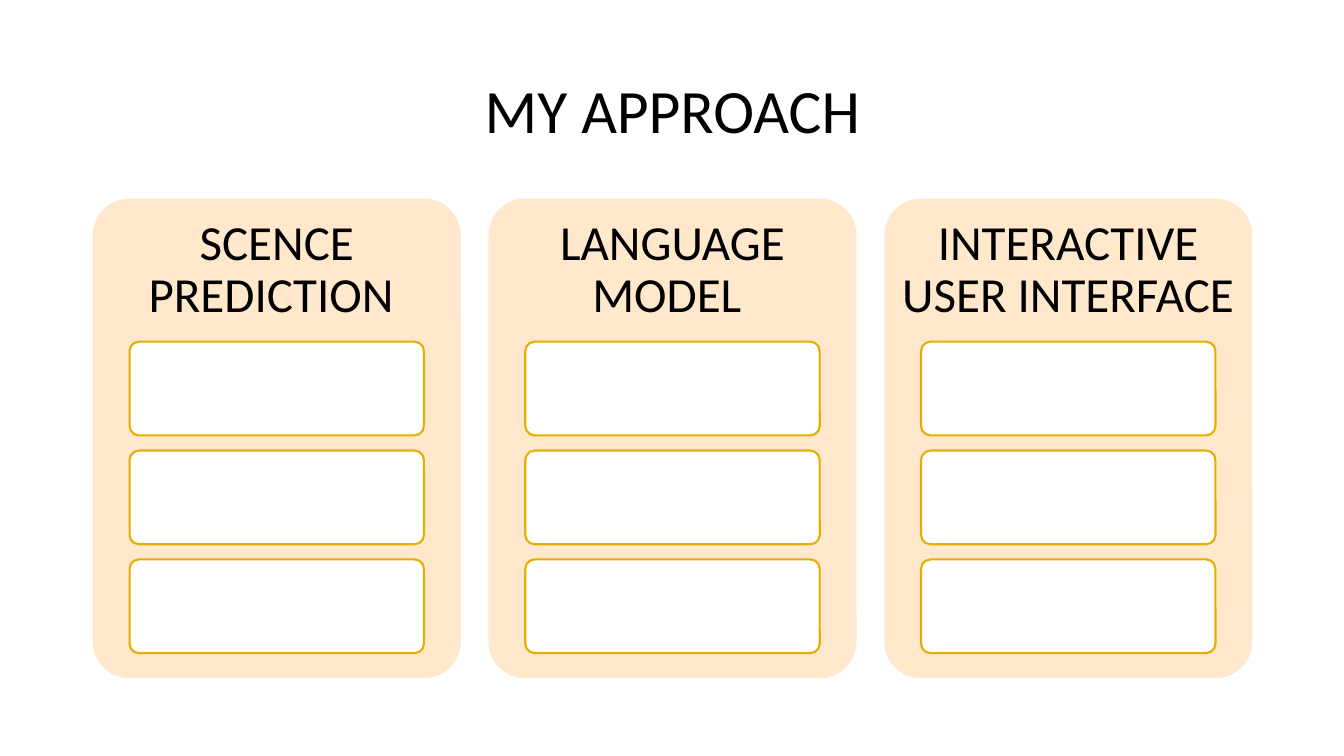
import pptx
import pptx.util
import pptx.dml.color
import pptx.enum.shapes
import pptx.enum.text
from pptx.util import Inches

COLUMN_HEADINGS = [
    "SCENCE PREDICTION ",
    "LANGUAGE MODEL ",
    "INTERACTIVE USER INTERFACE ",
]
LEFT, TOP = 0.92, 1.97
CARD_WIDTH, CARD_HEIGHT = 3.65, 4.76
CARD_STEP = 3.925
HEADING_HEIGHT = 1.43
SLOT_COUNT = 3
SLOT_WIDTH, SLOT_HEIGHT = 2.92, 0.93
SLOT_TOP, SLOT_STEP = 3.39, 1.08


def color(hex_value):
    return pptx.dml.color.RGBColor.from_string(hex_value)


def write_text(box, text, size, font="Calibri", fill="000000", inset=None):
    """Fill a box with one centred paragraph in the given format."""
    frame = box.text_frame
    frame.word_wrap = True
    frame.auto_size = pptx.enum.text.MSO_AUTO_SIZE.NONE
    frame.vertical_anchor = pptx.enum.text.MSO_ANCHOR.MIDDLE
    if inset is not None:
        frame.margin_left = frame.margin_right = Inches(inset)
        frame.margin_top = frame.margin_bottom = Inches(inset)
    para = frame.paragraphs[0]
    para.alignment = pptx.enum.text.PP_ALIGN.CENTER
    para.line_spacing = 0.9
    span = para.add_run()
    span.text = text
    span.font.name = font
    span.font.size = pptx.util.Pt(size)
    span.font.color.rgb = color(fill)


def add_title(page, text):
    title = page.shapes.title
    title.left, title.top = Inches(LEFT), Inches(0.4)
    title.width, title.height = Inches(11.5), Inches(1.45)
    write_text(title, text, size=44)


def add_rounded_box(page, left, top, width, height, fill, line=None):
    box = page.shapes.add_shape(
        pptx.enum.shapes.MSO_SHAPE.ROUNDED_RECTANGLE,
        Inches(left), Inches(top), Inches(width), Inches(height))
    box.adjustments[0] = 0.1
    box.shadow.inherit = False
    box.fill.solid()
    box.fill.fore_color.rgb = color(fill)
    if line:
        box.line.color.rgb = color(line)
        box.line.width = pptx.util.Pt(1.5)
    else:
        box.line.fill.background()


def add_column(page, left, heading):
    """Add a card with its heading and a stack of empty slots."""
    add_rounded_box(page, left, TOP, CARD_WIDTH, CARD_HEIGHT, "FFE8CC")
    box = page.shapes.add_textbox(
        Inches(left), Inches(TOP), Inches(CARD_WIDTH), Inches(HEADING_HEIGHT))
    write_text(box, heading, size=35, inset=0.15)
    slot_left = left + (CARD_WIDTH - SLOT_WIDTH) / 2
    for row in range(SLOT_COUNT):
        add_rounded_box(page, slot_left, SLOT_TOP + row * SLOT_STEP,
                        SLOT_WIDTH, SLOT_HEIGHT, "FFFFFF", line="E7AE00")


def main():
    deck = pptx.Presentation()
    deck.slide_width, deck.slide_height = Inches(13.33), Inches(7.5)
    page = deck.slides.add_slide(deck.slide_layouts.get_by_name("Title Only"))
    add_title(page, "MY APPROACH")
    for index, heading in enumerate(COLUMN_HEADINGS):
        add_column(page, LEFT + index * CARD_STEP, heading)
    deck.save("out.pptx")


if __name__ == "__main__":
    main()
